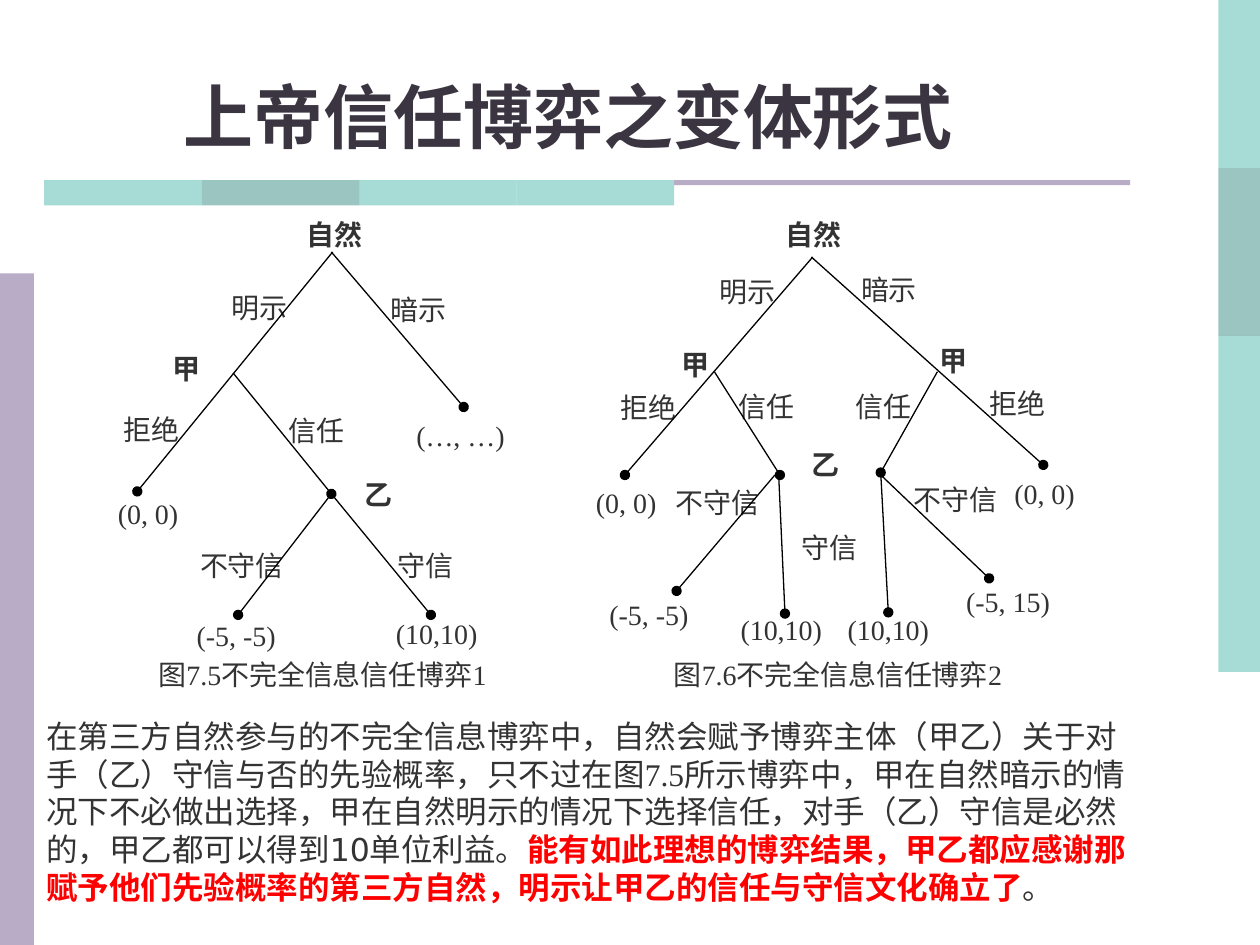
from lxml import etree
from pptx import Presentation
from pptx.dml.color import RGBColor
from pptx.enum.shapes import MSO_CONNECTOR, MSO_SHAPE
from pptx.enum.text import MSO_ANCHOR, MSO_AUTO_SIZE, PP_ALIGN
from pptx.oxml.ns import qn
from pptx.util import Inches, Pt

RECTANGLE = MSO_SHAPE.RECTANGLE
STRAIGHT = MSO_CONNECTOR.STRAIGHT
LEFT, CENTER = PP_ALIGN.LEFT, PP_ALIGN.CENTER
TOP, BOTTOM = MSO_ANCHOR.TOP, MSO_ANCHOR.BOTTOM
FIT_SHAPE, FIT_NONE = MSO_AUTO_SIZE.SHAPE_TO_FIT_TEXT, MSO_AUTO_SIZE.NONE

TEAL = RGBColor(0x51, 0xB9, 0xAF)
DARK_TEAL = RGBColor(0x39, 0x8D, 0x85)
LILAC = RGBColor(0xB8, 0xAC, 0xC6)
PLUM = RGBColor(0x3A, 0x35, 0x41)
GREY = RGBColor(0x33, 0x33, 0x33)
RED = RGBColor(0xFF, 0, 0)
BLACK = RGBColor(0, 0, 0)
WHITE = RGBColor(0xFF, 0xFF, 0xFF)

SERIF, SANS = "Times New Roman", "DejaVu Sans"
PLAYERS = {"自然", "甲", "乙"}


class TreePage:
    """The current slide and the style of its elements."""

    label_size = 16
    line_width = Pt(0.75)
    join_tolerance = Inches(0.02)

    def __init__(self, page):
        self.page = page

    def band(self, left, top, width, height, color, alpha=None):
        bar = self.page.shapes.add_shape(
            RECTANGLE, Inches(left), Inches(top), Inches(width), Inches(height))
        bar.shadow.inherit = False
        bar.fill.solid()
        bar.fill.fore_color.rgb = color
        bar.line.fill.background()
        if alpha:
            tint = bar.fill._xPr.find(".//" + qn("a:srgbClr"))
            etree.SubElement(tint, qn("a:alpha")).set("val", str(alpha * 1000))

    def span(self, para, words, size, font=SERIF, color=GREY, bold=False):
        run = para.add_run()
        run.text = words
        run.font.size = Pt(size)
        run.font.name = font
        run.font.color.rgb = color
        run.font.bold = bold

    def text(self, left, top, width, height, spans, size,
             align=LEFT, anchor=TOP, fit=FIT_SHAPE, wrap=True):
        box = self.page.shapes.add_textbox(
            Inches(left), Inches(top), Inches(width), Inches(height))
        frame = box.text_frame
        frame.word_wrap = wrap
        frame.auto_size = fit
        frame.vertical_anchor = anchor
        para = frame.paragraphs[0]
        para.alignment = align
        for words, font, color, bold in spans:
            self.span(para, words, size, font, color, bold)

    def label(self, group, words, left, top, width, height):
        box = group.shapes.add_shape(
            RECTANGLE, Inches(left), Inches(top), Inches(width), Inches(height))
        box.shadow.inherit = False
        box.fill.solid()
        box.fill.fore_color.rgb = WHITE
        box.line.color.rgb = WHITE
        box.line.width = self.line_width
        frame = box.text_frame
        frame.word_wrap = True
        frame.vertical_anchor = TOP
        frame.margin_left = frame.margin_right = 0
        frame.margin_top = frame.margin_bottom = 0
        para = frame.paragraphs[0]
        para.alignment = CENTER
        self.span(para, words, self.label_size, bold=words in PLAYERS)
        return box

    def branch(self, group, start, end, boxes):
        line = group.shapes.add_connector(STRAIGHT, *map(Inches, start + end))
        line.line.color.rgb = BLACK
        line.line.width = self.line_width
        etree.SubElement(line.line._get_or_add_ln(), qn("a:tailEnd")).set("type", "oval")
        etree.SubElement(line._element.spPr, qn("a:effectLst"))
        for box in boxes:
            gap_x = abs(box.left + box.width // 2 - line.end_x)
            gap_y = abs(box.top - line.end_y)
            if max(gap_x, gap_y) < self.join_tolerance:
                line.end_connect(box, 0)

    def tree(self, labels, branches):
        group = self.page.shapes.add_group_shape()
        boxes = [self.label(group, *entry) for entry in labels]
        for start, end in branches:
            self.branch(group, start, end, boxes)

    def caption(self, left, words):
        self.text(left, 5.17, 3, 0.37, [(words, SERIF, GREY, False)],
                  self.label_size, wrap=False)


# Labels: words, left, top, width, height
LABELS_ONE = [
    ("自然", 2.29, 1.73, 0.73, 0.32),
    ("明示", 1.72, 2.31, 0.68, 0.36),
    ("暗示", 2.98, 2.32, 0.68, 0.36),
    ("甲", 1.18, 2.79, 0.6, 0.32),
    ("拒绝", 0.83, 3.27, 0.74, 0.41),
    ("信任", 2.19, 3.28, 0.64, 0.41),
    ("(…, …)", 3.26, 3.32, 0.79, 0.28),
    ("(0, 0)", 0.78, 3.94, 0.79, 0.36),
    ("乙", 2.7, 3.79, 0.6, 0.32),
    ("不守信", 1.55, 4.35, 0.74, 0.41),
    ("守信", 3.06, 4.35, 0.64, 0.41),
    ("(-5, -5)", 1.48, 4.91, 0.79, 0.33),
    ("(10,10)", 3.07, 4.89, 0.79, 0.33),
]
BRANCHES_ONE = [
    ((2.64, 2), (1.09, 3.9)),
    ((2.63, 2), (3.68, 3.23)),
    ((1.85, 2.96), (2.63, 3.92)),
    ((2.63, 3.92), (1.89, 4.88)),
    ((2.63, 3.92), (3.42, 4.88)),
]
LABELS_TWO = [
    ("自然", 6.13, 1.73, 0.66, 0.37),
    ("明示", 5.62, 2.18, 0.62, 0.41),
    ("暗示", 6.75, 2.16, 0.61, 0.41),
    ("甲", 5.25, 2.76, 0.54, 0.37),
    ("甲", 7.3, 2.73, 0.54, 0.37),
    ("拒绝", 4.81, 3.1, 0.67, 0.47),
    ("信任", 5.79, 3.09, 0.58, 0.47),
    ("信任", 6.72, 3.09, 0.58, 0.47),
    ("拒绝", 7.74, 3.07, 0.67, 0.47),
    ("乙", 6.28, 3.55, 0.54, 0.37),
    ("(0, 0)", 4.61, 3.85, 0.72, 0.41),
    ("不守信", 5.31, 3.85, 0.77, 0.47),
    ("不守信", 7.2, 3.83, 0.77, 0.47),
    ("(0, 0)", 7.93, 3.78, 0.72, 0.41),
    ("守信", 6.29, 4.21, 0.58, 0.47),
    ("(-5, -5)", 4.79, 4.74, 0.72, 0.38),
    ("(10,10)", 5.84, 4.86, 0.72, 0.38),
    ("(10,10)", 6.69, 4.86, 0.72, 0.38),
    ("(-5, 15)", 7.64, 4.64, 0.72, 0.38),
]
BRANCHES_TWO = [
    ((6.45, 2.04), (4.96, 3.77)),
    ((6.44, 2.04), (8.28, 3.69)),
    ((5.67, 2.95), (6.19, 3.77)),
    ((7.44, 2.95), (6.99, 3.75)),
    ((6.15, 3.77), (5.37, 4.69)),
    ((6.18, 3.77), (6.23, 4.87)),
    ((6.99, 3.75), (7.04, 4.86)),
    ((6.97, 3.75), (7.85, 4.59)),
]
EXPLANATION = [
    ("在第三方自然参与的不完全信息博弈中，自然会赋予博弈主体（甲乙）关于对手（乙）"
     "守信与否的先验概率，只不过在", SANS, GREY, False),
    ("图7.5所示", SERIF, GREY, False),
    ("博弈中，甲在自然暗示的情况下不必做出选择，甲在自然明示的情况下选择信任，"
     "对手（乙）守信是必然的，甲乙都可以得到10单位利益。", SANS, GREY, False),
    ("能有如此理想的博弈结果，甲乙都应感谢那赋予他们先验概率的第三方自然，"
     "明示让甲乙的信任与守信文化确立了", SANS, RED, True),
    ("。", SANS, GREY, False),
]


def main():
    deck = Presentation()
    deck.slide_width, deck.slide_height = Inches(10), Inches(7.5)
    slide = TreePage(deck.slides.add_slide(deck.slide_layouts[6]))

    # Side and title bands
    for step, color in enumerate([TEAL, DARK_TEAL, TEAL, TEAL]):
        slide.band(9.67, step * 4 / 3, 0.33, 4 / 3, color, alpha=50)
        slide.band(0.35 + step * 1.25, 1.43, 1.25, 0.2, color, alpha=50)
    slide.band(0, 2.17, 0.27, 5.33, LILAC)
    slide.band(5.35, 1.43, 3.62, 0.04, LILAC)

    # Explanation and title
    slide.text(0.27, 5.64, 8.9, 1.6, EXPLANATION, 18)
    slide.text(0, 0.44, 9.02, 0.86, [("上帝信任博弈之变体形式", SERIF, PLUM, True)],
               40, align=CENTER, anchor=BOTTOM, fit=FIT_NONE)

    # Game trees with captions
    slide.tree(LABELS_ONE, BRANCHES_ONE)
    slide.caption(1.16, "图7.5不完全信息信任博弈1")
    slide.tree(LABELS_TWO, BRANCHES_TWO)
    slide.caption(5.25, "图7.6不完全信息信任博弈2")

    deck.save("out.pptx")


if __name__ == "__main__":
    main()
